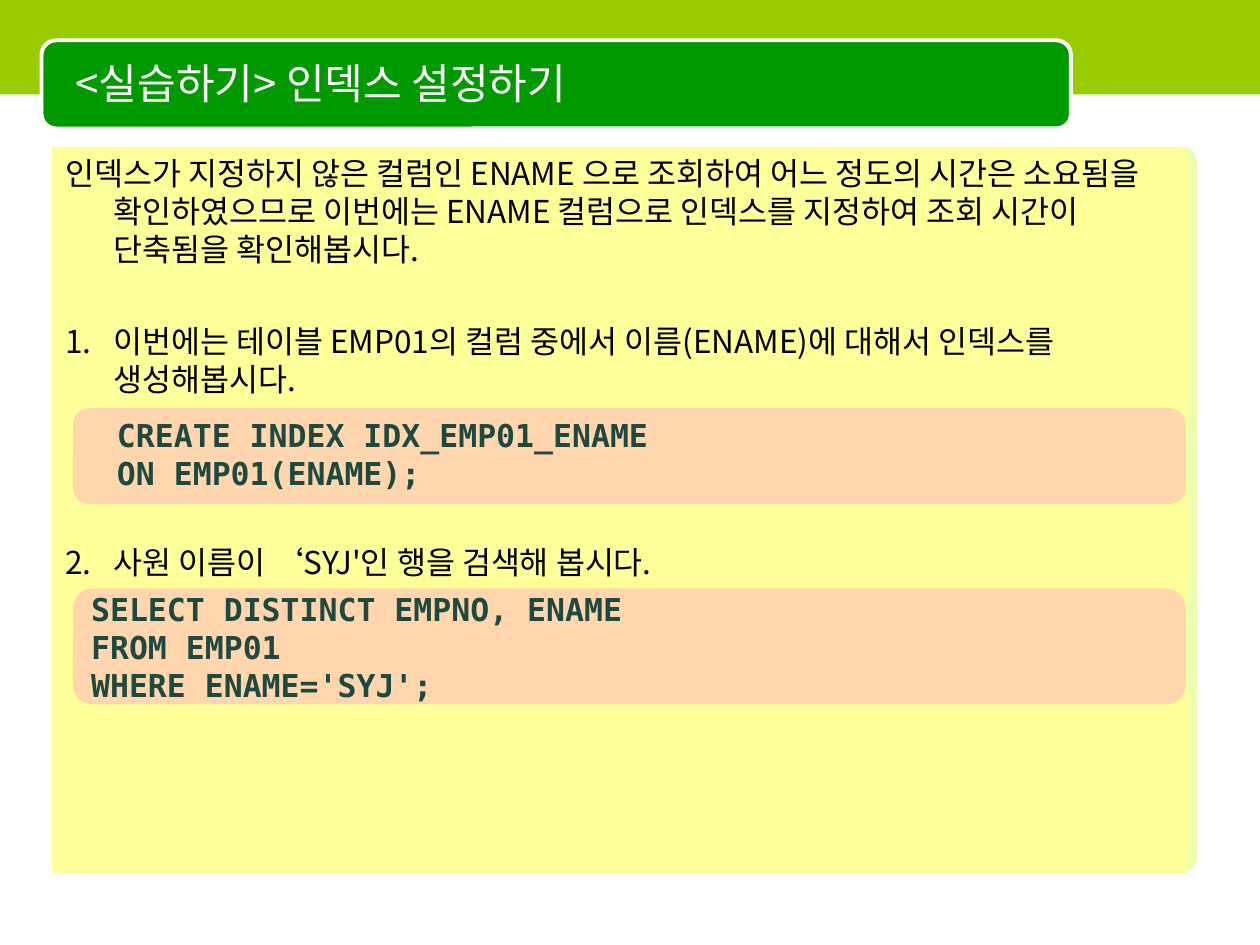
from dataclasses import dataclass

from lxml.etree import SubElement
from pptx import Presentation
from pptx.dml.color import RGBColor
from pptx.enum.shapes import MSO_SHAPE
from pptx.enum.text import MSO_ANCHOR, MSO_AUTO_SIZE, PP_ALIGN
from pptx.oxml.ns import qn
from pptx.util import Inches, Pt


@dataclass(frozen=True)
class Theme:
    band: str = "99CC00"
    banner: str = "009900"
    white: str = "FFFFFF"
    edge: str = "CCFF33"
    paper: str = "FFFF99"
    panel: str = "FF99CC"
    ink: str = "000000"
    code: str = "1D4940"
    text_font: str = "Noto Sans CJK KR"
    code_font: str = "DejaVu Sans Mono"
    title_size: float = 24
    text_size: float = 18
    line_pitch: float = 21.7


THEME = Theme()
TITLE = "<실습하기> 인덱스 설정하기"
# Each entry: text, space before in points, numbered or not
BODY = [
    ("인덱스가 지정하지 않은 컬럼인 ENAME 으로 조회하여 어느 정도의 시간은 소요됨을 "
     "확인하였으므로 이번에는 ENAME 컬럼으로 인덱스를 지정하여 조회 시간이 "
     "단축됨을 확인해봅시다.", 4.5, False),
    ("이번에는 테이블 EMP01의 컬럼 중에서 이름(ENAME)에 대해서 인덱스를 "
     "생성해봅시다.", 30.7, True),
    ("사원 이름이 ‘SYJ'인 행을 검색해 봅시다.", 83.1, True),
]
CREATE_CODE = ["CREATE INDEX IDX_EMP01_ENAME", "ON EMP01(ENAME);"]
SELECT_CODE = ["SELECT DISTINCT EMPNO, ENAME", "FROM EMP01", "WHERE ENAME='SYJ';"]


def set_all(target, values):
    for name, value in values.items():
        setattr(target, name, value)


def set_fill(shape, color, alpha=None):
    shape.fill.solid()
    shape.fill.fore_color.rgb = RGBColor.from_string(color)
    if alpha is not None:
        tint = shape.fill._xPr.find(qn("a:solidFill"))[0]
        SubElement(tint, qn("a:alpha"), val=str(alpha * 1000))


def set_line(shape, color, width):
    shape.line.color.rgb = RGBColor.from_string(color)
    shape.line.width = Pt(width)


def add_panel(shapes, kind, box, color, alpha=None, corner=None):
    panel = shapes.add_shape(kind, *map(Inches, box))
    panel.shadow.inherit = False
    set_fill(panel, color, alpha)
    panel.line.fill.background()
    if corner is not None:
        panel.adjustments[0] = corner
    return panel


def set_frame(shape, anchor):
    set_all(shape.text_frame, {
        "word_wrap": True, "auto_size": MSO_AUTO_SIZE.NONE, "vertical_anchor": anchor,
        "margin_left": Inches(0.1), "margin_right": Inches(0.1),
        "margin_top": Inches(0.05), "margin_bottom": Inches(0.05)})
    return shape.text_frame


def write_lines(frame, lines, size, color, font, **span_format):
    paras = []
    for index, line in enumerate(lines):
        para = frame.add_paragraph() if index else frame.paragraphs[0]
        set_all(para, {"alignment": PP_ALIGN.LEFT, "space_before": Pt(0)})
        span = para.add_run()
        span.text = line
        set_all(span.font, {"size": Pt(size), "name": font, **span_format})
        span.font.color.rgb = RGBColor.from_string(color)
        SubElement(span.font._element, qn("a:ea"), typeface=font)
        paras.append(para)
    return paras


def place_in_front(placeholder, box):
    sides = ("left", "top", "width", "height")
    set_all(placeholder, dict(zip(sides, map(Inches, box))))
    tree = placeholder.element.getparent()
    tree.append(placeholder.element)


def set_number(para, numbered):
    properties = para._p.get_or_add_pPr()
    indent = Inches(0.38)
    properties.set("marL", str(indent))
    properties.set("indent", str(-indent))
    if numbered:
        SubElement(properties, qn("a:buFont"), typeface="+mj-lt")
        SubElement(properties, qn("a:buAutoNum"), type="arabicPeriod")
    else:
        SubElement(properties, qn("a:buNone"))


def build_header(page, box):
    """Green band with the title banner over its lower edge."""
    left, top, width, height = box
    add_panel(page.shapes, MSO_SHAPE.RECTANGLE, box, THEME.band)
    banner = add_panel(page.shapes, MSO_SHAPE.ROUNDED_RECTANGLE,
                       (left + 0.33, top + 0.32, 8.17, 0.7), THEME.banner)
    set_line(banner, THEME.white, 2.25)
    title = page.shapes.title
    place_in_front(title, (left + 0.5, top + 0.35, 7.92, 0.62))
    write_lines(set_frame(title, MSO_ANCHOR.MIDDLE), [TITLE],
                THEME.title_size, THEME.white, THEME.text_font)


def build_body(page, box):
    """Yellow sheet with the steps, in front of a rounded edge."""
    left, top, width, height = box
    add_panel(page.shapes, MSO_SHAPE.ROUNDED_RECTANGLE,
              (left + 0.08, top, width, height), THEME.edge, 40, 0.02)
    sheet = page.placeholders[1]
    place_in_front(sheet, box)
    set_fill(sheet, THEME.paper)
    set_line(sheet, THEME.paper, 0.75)
    paras = write_lines(set_frame(sheet, MSO_ANCHOR.TOP), [text for text, _, _ in BODY],
                        THEME.text_size, THEME.ink, THEME.text_font)
    for para, (_, space, numbered) in zip(paras, BODY):
        set_all(para, {"space_before": Pt(space), "line_spacing": Pt(THEME.line_pitch)})
        set_number(para, numbered)


def write_code(shape, lines, anchor):
    paras = write_lines(set_frame(shape, anchor), lines, THEME.text_size,
                        THEME.code, THEME.code_font, bold=True)
    for para in paras:
        para.line_spacing = Pt(THEME.line_pitch)


def add_code_panel(shapes, box):
    return add_panel(shapes, MSO_SHAPE.ROUNDED_RECTANGLE, box, THEME.panel, 40)


def build_create_code(page, box):
    """Panel grouped with an indented block of code."""
    left, top, width, height = box
    group = page.shapes.add_group_shape()
    add_code_panel(group.shapes, box)
    block = group.shapes.add_textbox(
        *map(Inches, (left + 0.25, top + 0.01, width - 0.08, 0.7)))
    write_code(block, CREATE_CODE, MSO_ANCHOR.TOP)


def build_select_code(page, box):
    """Panel that holds its own code."""
    write_code(add_code_panel(page.shapes, box), SELECT_CODE, MSO_ANCHOR.MIDDLE)


def main():
    deck = Presentation()
    set_all(deck, {"slide_width": Inches(10), "slide_height": Inches(7.5)})
    page = deck.slides.add_slide(deck.slide_layouts[1])
    build_header(page, (0, 0, 10, 0.75))
    build_body(page, (0.42, 1.17, 9, 5.75))
    build_create_code(page, (0.58, 3.24, 8.83, 0.76))
    build_select_code(page, (0.58, 4.67, 8.83, 0.92))
    deck.save("out.pptx")


if __name__ == "__main__":
    main()
